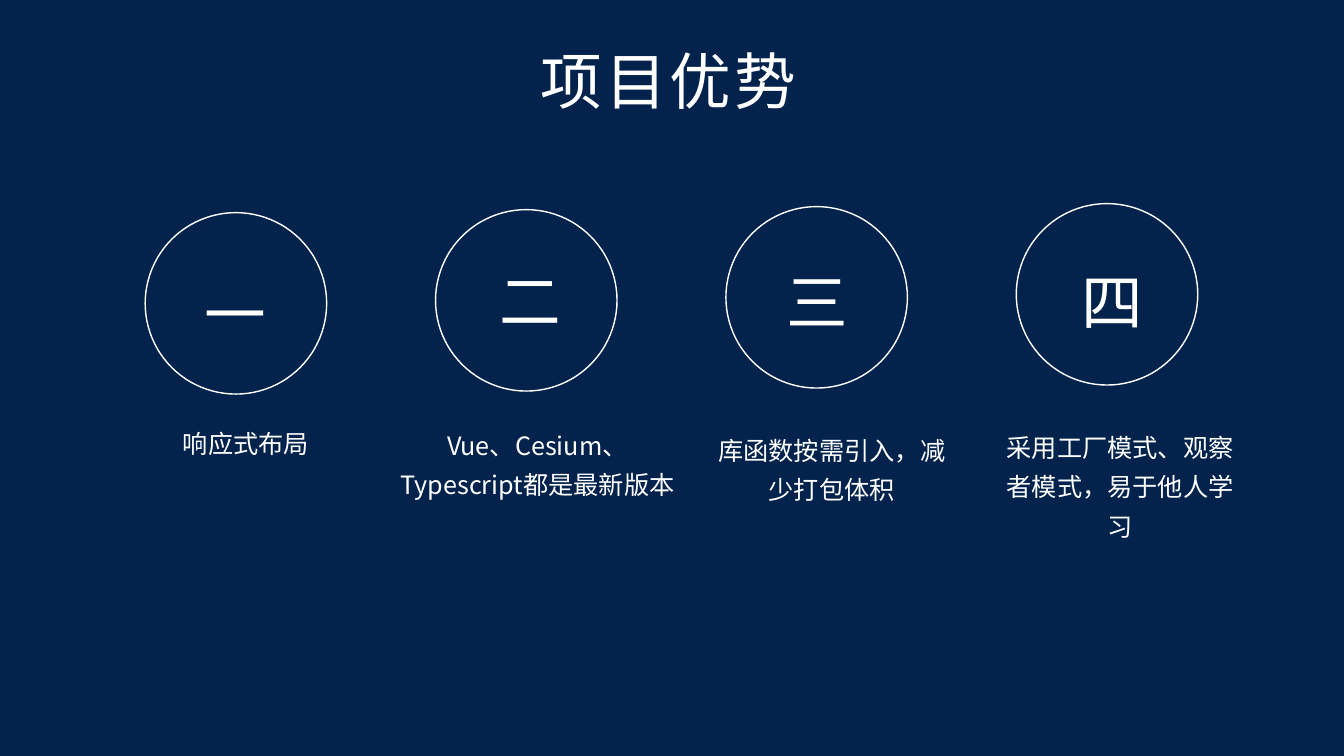
from lxml import etree
from pptx import Presentation
from pptx.dml.color import RGBColor
from pptx.enum import shapes, text
from pptx.oxml.ns import qn
from pptx.util import Inches, Pt

NAVY = RGBColor(0x03, 0x23, 0x4C)
WHITE = RGBColor(0xFF, 0xFF, 0xFF)


def write(box, wording, size, font="Noto Sans CJK SC", align=None, line_spacing=None, tracking=None):
    """Fill a box with one white paragraph; tracking is in points."""
    frame = box.text_frame
    frame.word_wrap = True
    frame.auto_size = text.MSO_AUTO_SIZE.NONE
    frame.vertical_anchor = text.MSO_ANCHOR.TOP
    paragraph = frame.paragraphs[0]
    paragraph.alignment = align
    paragraph.line_spacing = line_spacing
    run = paragraph.add_run()
    run.text = wording
    run.font.size = Pt(size)
    run.font.name = font
    run.font.color.rgb = WHITE
    properties = run.font._element
    properties.set("lang", "zh-CN")
    if tracking:
        properties.set("spc", str(tracking * 100))
    east_asian = etree.Element(qn("a:ea"), typeface=font)
    properties.find(qn("a:latin")).addnext(east_asian)


prs = Presentation()
prs.slide_width = Inches(13.33)
prs.slide_height = Inches(7.5)
slide = prs.slides.add_slide(prs.slide_layouts[5])
slide.background.fill.solid()
slide.background.fill.fore_color.rgb = NAVY

title = slide.shapes.title
title.left, title.top = Inches(4.96), Inches(0.23)
title.width, title.height = Inches(3.34), Inches(0.91)
write(title, "项目优势", 44, font="Noto Sans CJK JP", align=text.PP_ALIGN.CENTER,
      line_spacing=1.2, tracking=2)

# numeral, its left and top, then the benefit with its left, top, width and height
advantages = [
    ("一", 1.93, 2.69, "响应式布局", 1.16, 4.11, 2.56, 0.46),
    ("二", 4.86, 2.56, "Vue、Cesium、Typescript都是最新版本", 3.74, 4.13, 3.18, 0.85),
    ("三", 7.7, 2.57, "库函数按需引入，减少打包体积", 6.97, 4.18, 2.56, 0.85),
    ("四", 10.63, 2.57, "采用工厂模式、观察者模式，易于他人学习", 9.83, 4.15, 2.56, 1.25),
]

for index, (numeral, numeral_x, numeral_y, benefit, *benefit_area) in enumerate(advantages):
    ring = slide.shapes.add_shape(
        shapes.MSO_SHAPE.OVAL, Inches(1.44 + 2.88 * index), Inches(2.11 - 0.03 * index),
        Inches(1.8), Inches(1.8))
    ring.shadow.inherit = False
    ring.fill.background()
    ring.line.color.rgb = WHITE
    ring.line.width = Pt(1)

    benefit_box = slide.shapes.add_textbox(*map(Inches, benefit_area))
    write(benefit_box, benefit, 18, align=text.PP_ALIGN.CENTER, line_spacing=1.3)

    numeral_box = slide.shapes.add_textbox(
        Inches(numeral_x), Inches(numeral_y), Inches(0.95), Inches(0.84))
    write(numeral_box, numeral, 44)

prs.save("out.pptx")
